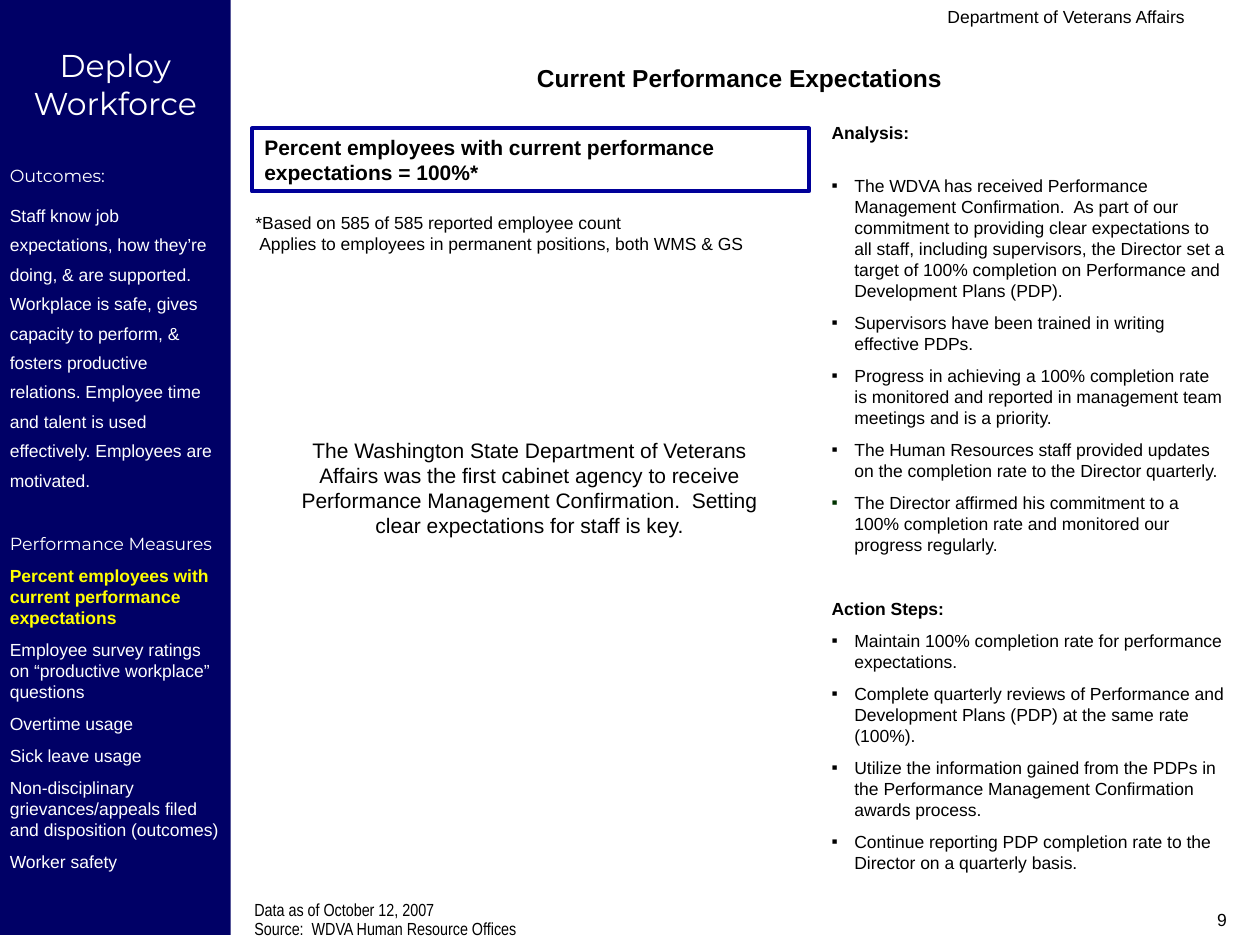
import pptx
import pptx.util
from lxml import etree
from pptx.dml.color import RGBColor
from pptx.enum.shapes import MSO_SHAPE
from pptx.enum.text import MSO_ANCHOR, MSO_AUTO_SIZE, PP_ALIGN
from pptx.oxml.ns import qn
from pptx.util import Cm, Pt

NAVY = RGBColor(0x00, 0x00, 0x66)
BLUE = RGBColor(0x00, 0x00, 0x99)
DARK_GREEN = RGBColor(0x00, 0x33, 0x00)
YELLOW = RGBColor(0xFF, 0xFF, 0x00)
WHITE = RGBColor(0xFF, 0xFF, 0xFF)
BLACK = RGBColor(0x00, 0x00, 0x00)

GAP = 6.2         # points between paragraphs
WIDE_GAP = 24.5   # points between sections
HANGING = Cm(0.46)

OUTCOMES = (
    "Staff know job expectations, how they’re doing, & are supported. "
    "Workplace is safe, gives capacity to perform, & fosters productive relations. "
    "Employee time and talent is used effectively. Employees are motivated."
)
CURRENT_MEASURE = "Percent employees with current performance expectations"
OTHER_MEASURES = [
    "Employee survey ratings on “productive workplace” questions",
    "Overtime usage",
    "Sick leave usage",
    "Non-disciplinary grievances/appeals filed and disposition (outcomes)",
    "Worker safety",
]

# heading, space before it, space before its first bullet, bullets with colours
SECTIONS = [
    ("Analysis:", 0, 18.2, [
        ("The WDVA has received Performance Management Confirmation.  As part of our "
         "commitment to providing clear expectations to all staff, including supervisors, "
         "the Director set a target of 100% completion on Performance and Development "
         "Plans (PDP).", BLACK),
        ("Supervisors have been trained in writing effective PDPs.", BLACK),
        ("Progress in achieving a 100% completion rate is monitored and reported in "
         "management team meetings and is a priority.", BLACK),
        ("The Human Resources staff provided updates on the completion rate to the "
         "Director quarterly.", BLACK),
        ("The Director affirmed his commitment to a 100% completion rate and monitored "
         "our progress regularly.", DARK_GREEN),
    ]),
    ("Action Steps:", WIDE_GAP, GAP, [
        ("Maintain 100% completion rate for performance expectations.", BLACK),
        ("Complete quarterly reviews of Performance and Development Plans (PDP) at the "
         "same rate (100%).", BLACK),
        ("Utilize the information gained from the PDPs in the Performance Management "
         "Confirmation awards process.", BLACK),
        ("Continue reporting PDP completion rate to the Director on a quarterly basis.",
         BLACK),
    ]),
]

# left, top, width, height in cm; size in points; alignment; text
NOTES = [
    ((4.9, 4.14, 10.54, 1.12), 10, PP_ALIGN.LEFT,
     "*Based on 585 of 585 reported employee count\v"
     " Applies to employees in permanent positions, both WMS & GS"),
    ((5.5, 8.69, 10.36, 2.29), 12, PP_ALIGN.CENTER,
     "The Washington State Department of Veterans Affairs was the first cabinet agency "
     "to receive Performance Management Confirmation.  Setting clear expectations for "
     "staff is key."),
    ((11.43, 0, 12.7, 0.64), 10, PP_ALIGN.RIGHT, "Department of Veterans Affairs"),
    ((19.05, 18.2, 5.93, 0.85), 10, PP_ALIGN.RIGHT, "9"),
]
FOOTER = ["Data as of October 12, 2007", "Source:  WDVA Human Resource Offices"]


def prepare(shape):
    frame = shape.text_frame
    frame.word_wrap = True
    frame.auto_size = MSO_AUTO_SIZE.NONE
    frame.vertical_anchor = MSO_ANCHOR.TOP
    return frame


def place(shape, left, top, width, height):
    shape.left, shape.top = Cm(left), Cm(top)
    shape.width, shape.height = Cm(width), Cm(height)


def set_bullet(para, color):
    """Give a hanging indent, with a square bullet unless color is None."""
    properties = para._p.get_or_add_pPr()
    properties.set("marL", str(HANGING))
    properties.set("indent", str(-HANGING))
    if color is None:
        etree.SubElement(properties, qn("a:buNone"))
        return
    bullet_color = etree.SubElement(properties, qn("a:buClr"))
    etree.SubElement(bullet_color, qn("a:srgbClr"), val=str(color))
    etree.SubElement(properties, qn("a:buFont"), typeface="Arial")
    etree.SubElement(properties, qn("a:buChar"), char="▪")


def write(frame, text, size=10, color=BLACK, bold=False, name="Arial",
          align=PP_ALIGN.LEFT, before=0):
    """Fill the first paragraph if it is empty, otherwise add one."""
    first = frame.paragraphs[0]
    para = first if not first.text else frame.add_paragraph()
    para.text = text
    para.alignment = align
    para.space_before = Pt(before)
    return para, (size, color, bold, name)


def style(para, look):
    para.font.size, para.font.color.rgb, para.font.bold, para.font.name = (
        Pt(look[0]), look[1], look[2], look[3])
    return para


def add_text(frame, text, **options):
    return style(*write(frame, text, **options))


def add_listed(frame, text, bullet, **options):
    para, look = write(frame, text, **options)
    spacing = options.get("before", 0)
    set_bullet(para, bullet)
    para.space_before = Pt(spacing)
    style(para, look)


def add_rectangle(page, *area):
    shape = page.shapes.add_shape(MSO_SHAPE.RECTANGLE, *map(Cm, area))
    shape.shadow.inherit = False
    return shape


def build_sidebar(page):
    bar = add_rectangle(page, 0, 0, 4.65, 18.85)
    bar.fill.solid()
    bar.fill.fore_color.rgb = NAVY
    bar.line.fill.background()
    frame = prepare(bar)
    frame.margin_left = frame.margin_right = Cm(0.2)
    frame.margin_top = Cm(0.93)
    add_text(frame, "Deploy Workforce", size=18, color=WHITE, name="Montserrat",
             align=PP_ALIGN.CENTER)
    add_text(frame, "Outcomes:", color=WHITE, name="Montserrat", before=WIDE_GAP)
    add_text(frame, OUTCOMES, color=WHITE, before=GAP).line_spacing = 1.4
    add_text(frame, "Performance Measures", color=WHITE, name="Montserrat",
             before=WIDE_GAP)
    add_text(frame, CURRENT_MEASURE, color=YELLOW, bold=True, before=GAP)
    for measure in OTHER_MEASURES:
        add_text(frame, measure, color=WHITE, before=GAP)


def build_analysis(body):
    place(body, 16.51, 2.34, 8.46, 16.05)
    frame = prepare(body)
    for heading, before, bullet_gap, bullets in SECTIONS:
        add_listed(frame, heading, None, bold=True, before=before)
        for index, (text, color) in enumerate(bullets):
            add_listed(frame, text, color, before=GAP if index else bullet_gap)


def main():
    deck = pptx.Presentation()
    deck.slide_width, deck.slide_height = Cm(25.4), Cm(19.05)
    page = deck.slides.add_slide(deck.slide_layouts[1])

    title = page.shapes.title
    place(title, 4.65, 1.14, 20.52, 0.86)
    add_text(prepare(title), "Current Performance Expectations", size=14, bold=True,
             align=PP_ALIGN.CENTER)
    build_sidebar(page)
    build_analysis(page.placeholders[1])

    measure = add_rectangle(page, 5.08, 2.59, 11.23, 1.27)
    measure.fill.background()
    measure.line.color.rgb = BLUE
    measure.line.width = Pt(2.25)
    add_text(prepare(measure), CURRENT_MEASURE + " = 100%*", size=12, bold=True)

    for area, size, align, text in NOTES:
        box = page.shapes.add_textbox(*map(Cm, area))
        add_text(prepare(box), text, size=size, align=align)

    footer = prepare(page.shapes.add_textbox(*map(Cm, (4.88, 18.11, 12.27, 0.94))))
    for index, line in enumerate(FOOTER):
        para = add_text(footer, line, name="Arial Narrow", before=2.5 if index else 0)
        para.line_spacing = 0.7

    deck.save("out.pptx")


if __name__ == "__main__":
    main()
